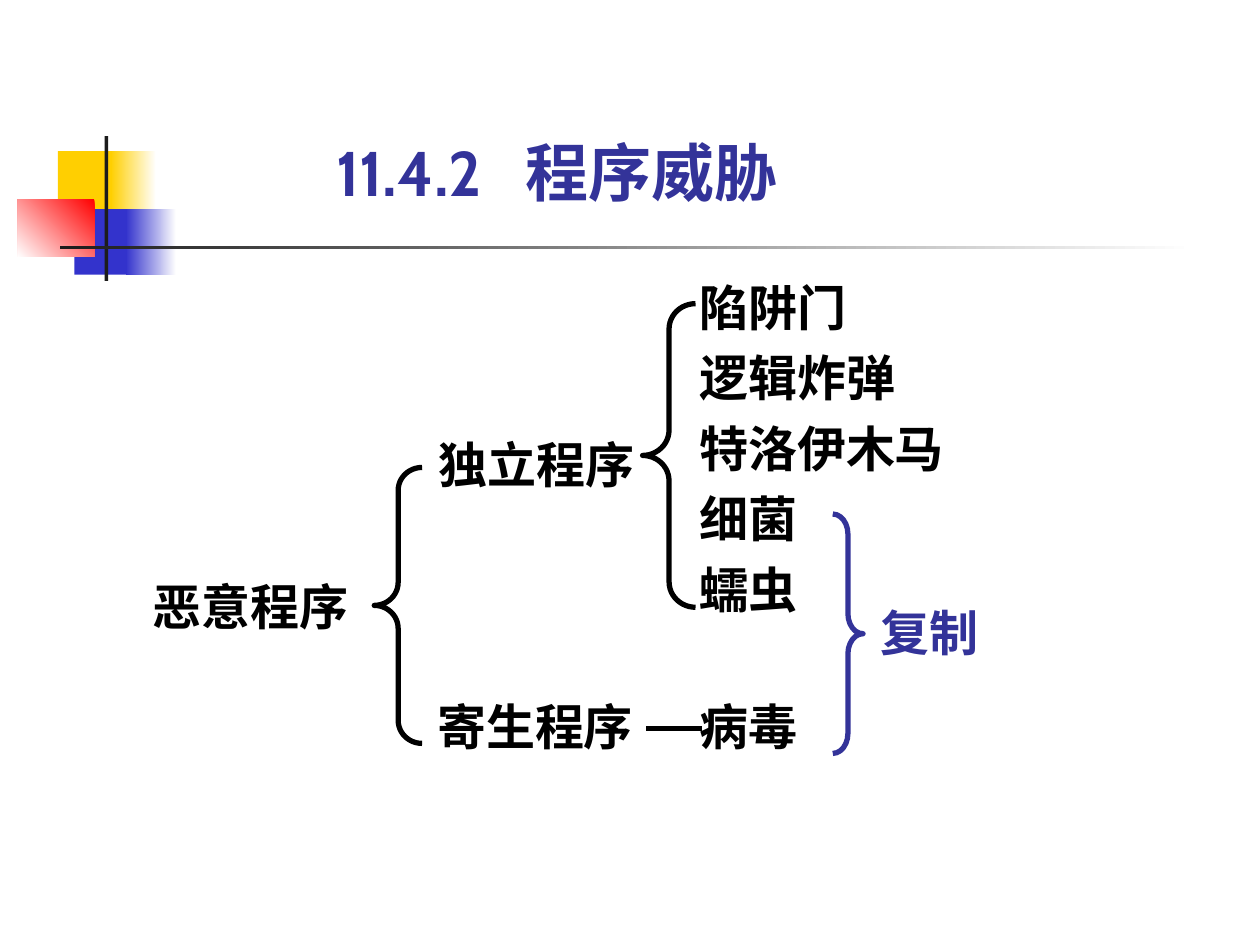
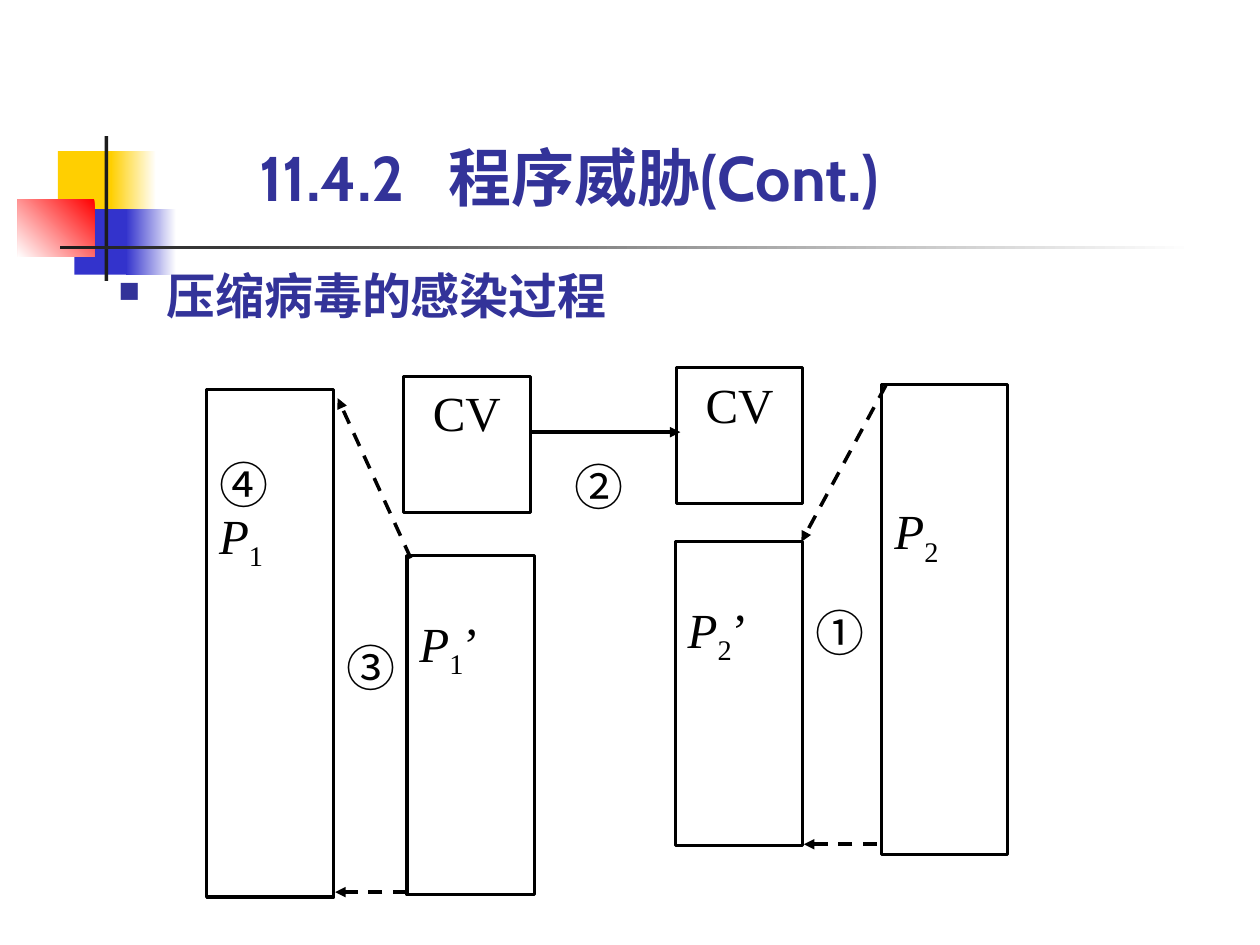
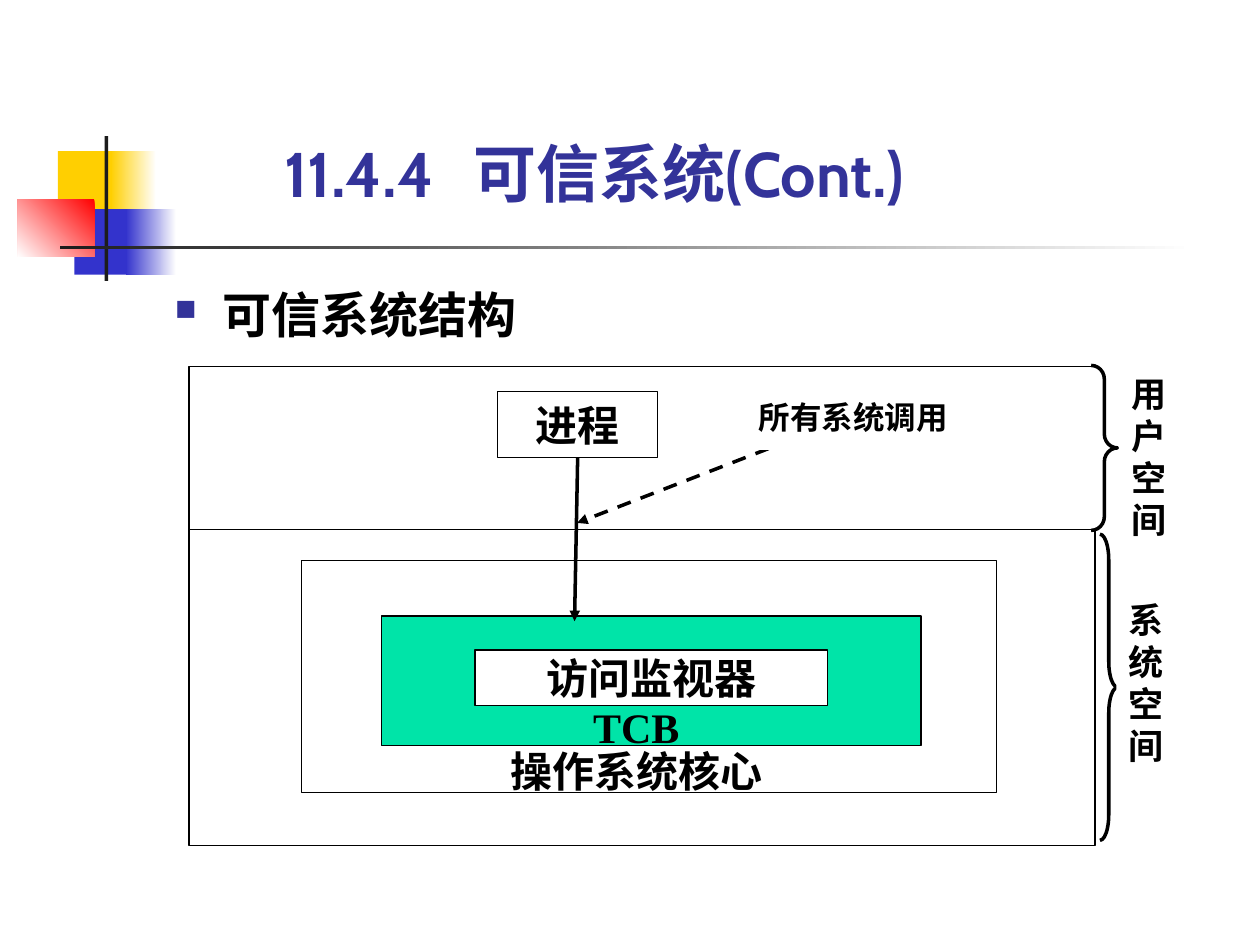
from dataclasses import dataclass
from typing import Any, Optional

from lxml import etree
from pptx import Presentation
from pptx import util as u
from pptx.dml.color import RGBColor
from pptx.enum import dml, shapes, text
from pptx.oxml.ns import qn

PX = 9144
LINE_HEIGHT = 1.2
TITLE_TAB = 150
BULLET_INDENT = 38

COLORS = {
    "black": "000000",
    "white": "FFFFFF",
    "navy": "333399",
    "blue": "3333CC",
    "yellow": "FFCF01",
    "red": "FF0000",
    "bar": "1C1C1C",
    "green": "00E4A8",
}
CABIN = "Cabin"
SERIF = "Times New Roman"
CJK = "Noto Sans CJK SC"
RECT = shapes.MSO_SHAPE.RECTANGLE
LEFT_BRACE = shapes.MSO_SHAPE.LEFT_BRACE
RIGHT_BRACE = shapes.MSO_SHAPE.RIGHT_BRACE
Area = tuple[int, int, int, int]


@dataclass
class Run:
    text: str
    font: str = SERIF
    size: int = 28
    color: str = "black"
    bold: bool = False
    italic: bool = False
    sub: bool = False


@dataclass
class Text:
    paragraphs: list[list[Run]]
    insets: Area = (0, 0, 0, 0)
    center: bool = False
    middle: bool = False
    wrap: bool = True
    spacing: float = 1.0


@dataclass
class Box:
    area: Area
    fill: Optional[str] = None
    line: Optional[float] = None
    text: Optional[Text] = None
    fade: Optional[tuple[str, str, int]] = None


@dataclass
class Brace:
    kind: Any
    area: Area
    curl: float
    color: str = "black"
    width: float = 3
    fill: Optional[str] = None


@dataclass
class Line:
    start: tuple[int, int]
    end: tuple[int, int]
    width: float = 2
    dashed: bool = False
    arrow: bool = True


DECOR = [
    Box((46, 120, 48, 52), "yellow"),
    Box((88, 120, 36, 52), fade=("white", "yellow", 180)),
    Box((59, 166, 46, 52), "blue"),
    Box((100, 166, 40, 52), fade=("white", "blue", 180)),
    Box((14, 158, 61, 46), fade=("red", "white", 225)),
    Box((83, 108, 3, 115), "bar"),
    Box((48, 195, 900, 3), fade=("white", "bar", 180)),
]


def rgb(name: str) -> RGBColor:
    return RGBColor.from_string(COLORS[name])


def emu(lengths: tuple[int, ...]) -> list[int]:
    return [n * PX for n in lengths]


def paint(fill: Any, color: Optional[str]) -> None:
    if color:
        fill.solid()
        fill.fore_color.rgb = rgb(color)
    else:
        fill.background()


def stroke(line: Any, color: str, width: Optional[float]) -> None:
    if width:
        line.color.rgb = rgb(color)
        line.width = u.Pt(width)
    else:
        line.fill.background()


def style_run(r: Any, run: Run) -> None:
    f = r.font
    f.name, f.size, f.bold, f.italic = run.font, u.Pt(run.size), run.bold, run.italic
    f.color.rgb = rgb(run.color)
    rPr = r._r.get_or_add_rPr()
    rPr.find(qn("a:latin")).addnext(etree.Element(qn("a:ea"), typeface=CJK))
    if run.sub:
        rPr.set("baseline", "-25000")


def write(tf: Any, content: Text) -> None:
    tf.auto_size = text.MSO_AUTO_SIZE.NONE
    tf.word_wrap = content.wrap
    tf.margin_left, tf.margin_top, tf.margin_right, tf.margin_bottom = emu(content.insets)
    tf.vertical_anchor = text.MSO_ANCHOR.MIDDLE if content.middle else text.MSO_ANCHOR.TOP
    for i, runs in enumerate(content.paragraphs):
        p = tf.add_paragraph() if i else tf.paragraphs[0]
        p.alignment = text.PP_ALIGN.CENTER if content.center else text.PP_ALIGN.LEFT
        p.line_spacing = u.Pt(round(runs[0].size * LINE_HEIGHT * content.spacing, 1))
        for run in runs:
            r = p.add_run()
            r.text = run.text
            style_run(r, run)


def add_box(s: Any, box: Box) -> Any:
    sp = s.shapes.add_shape(RECT, *emu(box.area))
    sp.shadow.inherit = False
    if box.fade:
        first, last, angle = box.fade
        sp.fill.gradient()
        sp.fill.gradient_angle = angle
        for stop, color in zip(sp.fill.gradient_stops, (first, last)):
            stop.color.rgb = rgb(color)
    else:
        paint(sp.fill, box.fill)
    stroke(sp.line, "black", box.line)
    if box.text:
        write(sp.text_frame, box.text)
    return sp


def add_text(s: Any, area: Area, content: Text) -> Any:
    sp = s.shapes.add_textbox(*emu(area))
    write(sp.text_frame, content)
    return sp


def add_label(s: Any, area: Area, *lines: Run, spacing: float = 1.0) -> None:
    add_text(s, area, Text([[line] for line in lines], spacing=spacing))


def add_bullet(s: Any, area: Area, run: Run, insets: Area) -> None:
    sp = add_text(s, area, Text([[run]], insets))
    pPr = sp.text_frame.paragraphs[0]._p.get_or_add_pPr()
    pPr.set("marL", str(BULLET_INDENT * PX))
    pPr.set("indent", str(-BULLET_INDENT * PX))
    color = etree.SubElement(pPr, qn("a:buClr"))
    etree.SubElement(color, qn("a:srgbClr"), val=COLORS["navy"])
    etree.SubElement(pPr, qn("a:buSzPct"), val="60000")
    etree.SubElement(pPr, qn("a:buChar"), char="■")


def add_brace(s: Any, brace: Brace) -> None:
    sp = s.shapes.add_shape(brace.kind, *emu(brace.area))
    sp.shadow.inherit = False
    sp.adjustments[0] = brace.curl
    paint(sp.fill, brace.fill)
    stroke(sp.line, brace.color, brace.width)


def add_line(s: Any, line: Line) -> Any:
    cn = s.shapes.add_connector(shapes.MSO_CONNECTOR.STRAIGHT, *emu(line.start + line.end))
    stroke(cn.line, "black", line.width)
    if line.dashed:
        cn.line.dash_style = dml.MSO_LINE.DASH
    if line.arrow:
        etree.SubElement(cn.line._get_or_add_ln(), qn("a:tailEnd"), type="triangle")
    etree.SubElement(cn._element.spPr, qn("a:effectLst"))
    return cn


def add_slide(prs: Any, title: str, area: Area) -> Any:
    s = prs.slides.add_slide(prs.slide_layouts[5])
    for box in DECOR:
        add_box(s, box)
    sp = s.shapes.title
    sp.left, sp.top, sp.width, sp.height = emu(area)
    write(sp.text_frame, Text([[Run(title, CABIN, 36, "navy", True)]]))
    sp.text_frame.vertical_anchor = text.MSO_ANCHOR.BOTTOM
    pPr = sp.text_frame.paragraphs[0]._p.get_or_add_pPr()
    tabs = etree.SubElement(pPr, qn("a:tabLst"))
    etree.SubElement(tabs, qn("a:tab"), pos=str(TITLE_TAB * PX), algn="l")
    return s


def build_threats(prs: Any) -> None:
    s = add_slide(prs, "11.4.2\t程序威胁", (267, 93, 416, 73))
    add_brace(s, Brace(LEFT_BRACE, (297, 371, 38, 219), 0.48))
    add_brace(s, Brace(LEFT_BRACE, (510, 241, 42, 241), 0.48))
    add_brace(s, Brace(RIGHT_BRACE, (661, 408, 24, 190), 0.66, "navy"))
    add_label(s, (121, 458, 166, 47), Run("恶意程序", CJK, bold=True))
    add_label(s, (348, 345, 170, 47), Run("独立程序", bold=True))
    add_label(s, (347, 553, 160, 47), Run("寄生程序", bold=True))
    add_label(s, (555, 553, 100, 47), Run("病毒", CABIN, bold=True))
    add_label(s, (699, 478, 110, 47), Run("复制", color="navy", bold=True))
    independent = ("陷阱门", "逻辑炸弹", "特洛伊木马", "细菌", "蠕虫")
    add_label(s, (555, 211, 217, 280),
              *(Run(name, bold=True) for name in independent), spacing=1.2)
    add_line(s, Line((513, 578), (557, 578), 3, arrow=False))


def build_infection(prs: Any) -> None:
    s = add_slide(prs, "11.4.2\t程序威胁(Cont.)", (206, 97, 592, 73))
    add_bullet(s, (94, 211, 442, 47),
               Run("压缩病毒的感染过程", CABIN, color="navy", bold=True), (0, 0, 0, 0))

    def program(number: str, *suffix: Run) -> list[Run]:
        return [Run("P", italic=True), Run(number, sub=True), *suffix]

    prime = Run("’")
    blocks = [
        ((164, 309, 101, 403), 1, [[Run("④", CJK)], program("1")]),
        ((323, 441, 101, 269), 1, [program("1", prime)]),
        ((536, 430, 101, 241), 1, [program("2", prime)]),
        ((700, 305, 100, 373), 2, [program("2")]),
    ]
    for area, skipped, paragraphs in blocks:
        insets = (10, 5 + 47 * skipped, 10, 5)
        add_box(s, Box(area, line=1.75, text=Text(paragraphs, insets)))
    for area in ((320, 299, 101, 108), (537, 292, 100, 108)):
        content = Text([[Run("CV")]], (7, 5, 7, 5), center=True)
        add_box(s, Box(area, line=1.75, text=content))

    add_line(s, Line((421, 343), (540, 343)))
    for start, end in (
        ((696, 670), (638, 670)),
        ((703, 306), (636, 430)),
        ((326, 443), (268, 316)),
        ((323, 708), (266, 708)),
    ):
        add_line(s, Line(start, end, dashed=True))
    for mark, left, top in (("①", 647, 478), ("②", 456, 362), ("③", 275, 506)):
        add_label(s, (left, top, 42, 77), Run(mark, CJK))


def build_trusted(prs: Any) -> None:
    s = add_slide(prs, "11.4.4\t可信系统(Cont.)", (226, 107, 605, 60))
    insets = (10, 5, 10, 5)
    add_bullet(s, (129, 221, 300, 67), Run("可信系统结构", CJK, bold=True), insets)

    def caption(words: str, font: str = CJK) -> Text:
        return Text([[Run(words, font, 24, bold=True)]], insets,
                    center=True, middle=True, wrap=False)

    add_box(s, Box((150, 291, 719, 380), "white", 0.75))
    add_line(s, Line((150, 420), (869, 420), 0.75, arrow=False))
    add_box(s, Box((239, 445, 552, 184), "white", 0.75))
    add_box(s, Box((303, 489, 428, 103), "green", 0.75))
    add_box(s, Box((377, 516, 280, 44), "white", 0.75, caption("访问监视器")))
    process = add_box(s, Box((395, 311, 127, 52), "white", 0.75, caption("进程")))
    add_line(s, Line((610, 356), (458, 415), dashed=True))
    calls = Text([[Run("所有系统调用", size=18, bold=True)]], (2, 1, 2, 1))
    add_box(s, Box((600, 315, 185, 42), "white", text=calls))
    add_line(s, Line((458, 364), (456, 493))).begin_connect(process, 2)
    add_brace(s, Brace(RIGHT_BRACE, (866, 290, 21, 131), 0.52, width=2, fill="white"))
    add_brace(s, Brace(RIGHT_BRACE, (873, 424, 14, 243), 1.45, width=2, fill="white"))
    add_box(s, Box((459, 569, 92, 16), "green", text=caption("TCB", SERIF)))
    add_box(s, Box((395, 595, 220, 33), "white", text=caption("操作系统核心")))
    for words, area in (
        ("用户空间", (888, 291, 55, 150)),
        ("系统空间", (886, 470, 62, 144)),
    ):
        content = Text([[Run(words, CJK, 20, bold=True)]], insets)
        add_box(s, Box(area, "white", text=content))


def main() -> None:
    prs = Presentation()
    prs.slide_width, prs.slide_height = emu((1000, 750))
    build_threats(prs)
    build_infection(prs)
    build_trusted(prs)
    prs.save("out.pptx")


if __name__ == "__main__":
    main()
